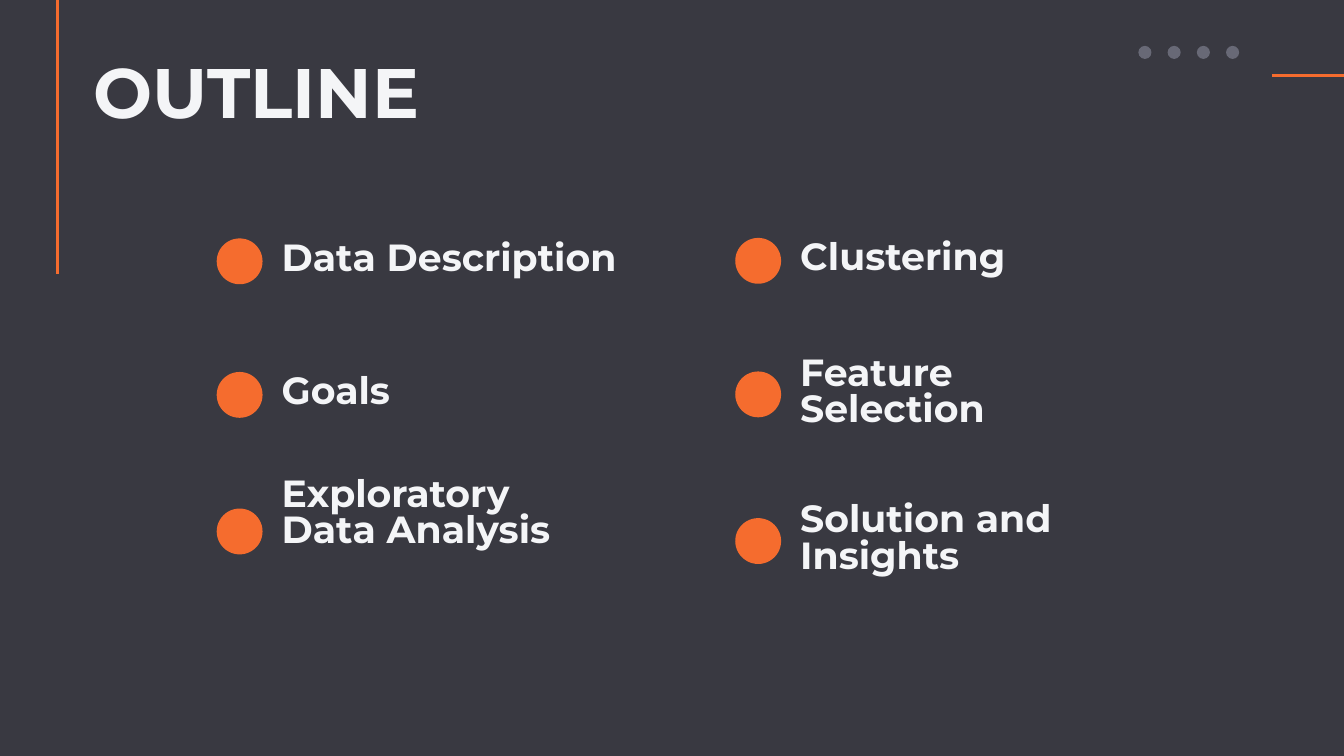
from dataclasses import dataclass

from pptx import Presentation
from pptx.dml.color import RGBColor
from pptx.enum.shapes import MSO_CONNECTOR as Connector, MSO_SHAPE as Shape
from pptx.enum.text import MSO_ANCHOR as Anchor
from pptx.oxml.ns import qn
from pptx.util import Inches, Pt
from lxml.etree import SubElement


@dataclass(frozen=True)
class Theme:
    background: str = "393941"
    accent: str = "F56C2E"
    text: str = "F4F5F7"
    muted: str = "686976"
    font: str = "Montserrat"
    title_size: int = 100
    topic_size: int = 54
    rule_width: int = 4


TITLE = "OUTLINE"
TOPIC_COLUMNS = [
    [
        {"text": "Data Description", "width": 8.15},
        {"text": "Goals", "width": 8.15},
        {"text": "Exploratory Data Analysis", "width": 5.96, "drop": 0.06, "lift": 0.31},
    ],
    [
        {"text": "Clustering", "width": 5.56},
        {"text": "Feature Selection", "width": 5.56},
        {"text": "Solution and Insights", "width": 6.64, "drop": 0.26},
    ],
]

THEME = Theme()
WIDTH, HEIGHT = 26.67, 15
GRID_LEFT, GRID_TOP = 4.3, 4.73
COLUMN_STEP, ROW_STEP = 10.29, 2.65
COLUMN_RISE = 0.01
DOT = 0.91
LABEL_OFFSET, LABEL_DROP, LABEL_HEIGHT = 1.25, 0.02, 0.83
INSET = 0.04
RULES = [
    (WIDTH - 1.43, HEIGHT * 0.1, WIDTH, HEIGHT * 0.1),
    (1.14, 0, 1.14, 5.44),
]
BADGE_COUNT, BADGE_SIZE = 4, 0.26
BADGE_LEFT, BADGE_TOP, BADGE_STEP = 22.59, 0.91, 0.58


def color(value):
    return RGBColor.from_string(value)


def add_filled(slide, kind, left, top, size, fill):
    shape = slide.shapes.add_shape(
        kind, Inches(left), Inches(top), Inches(size), Inches(size)
    )
    shape.shadow.inherit = False
    shape.fill.solid()
    shape.fill.fore_color.rgb = color(fill)
    shape.line.fill.background()


def add_rule(slide, ends):
    rule = slide.shapes.add_connector(Connector.STRAIGHT, *map(Inches, ends))
    rule.line.color.rgb = color(THEME.accent)
    rule.line.width = Pt(THEME.rule_width)
    SubElement(rule.element.spPr, qn("a:effectLst"))


def add_text(slide, text, box, size, anchor):
    frame = slide.shapes.add_textbox(*map(Inches, box)).text_frame
    frame.word_wrap = True
    frame.vertical_anchor = anchor
    frame.margin_left = frame.margin_right = Inches(INSET)
    frame.margin_top = frame.margin_bottom = Inches(INSET)
    paragraph = frame.paragraphs[0]
    paragraph.line_spacing = 0.8
    run = paragraph.add_run()
    run.text = text
    run.font.name = THEME.font
    run.font.size = Pt(size)
    run.font.bold = True
    run.font.color.rgb = color(THEME.text)


def add_topic(slide, topic, left, top):
    add_filled(slide, Shape.OVAL, left, top, DOT, THEME.accent)
    label_top = top + LABEL_DROP - topic.get("lift", 0)
    box = (left + LABEL_OFFSET, label_top, topic["width"], LABEL_HEIGHT)
    add_text(slide, topic["text"], box, THEME.topic_size, Anchor.MIDDLE)


def main():
    presentation = Presentation()
    presentation.slide_width = Inches(WIDTH)
    presentation.slide_height = Inches(HEIGHT)
    slide = presentation.slides.add_slide(presentation.slide_layouts[6])
    slide.background.fill.solid()
    slide.background.fill.fore_color.rgb = color(THEME.background)

    for index in range(BADGE_COUNT):
        left = BADGE_LEFT + index * BADGE_STEP
        add_filled(slide, Shape.OVAL, left, BADGE_TOP, BADGE_SIZE, THEME.muted)
    for ends in RULES:
        add_rule(slide, ends)

    add_text(slide, TITLE, (1.82, 1.25, 9.95, 3.47), THEME.title_size, Anchor.TOP)
    for column, topics in enumerate(TOPIC_COLUMNS):
        left = GRID_LEFT + column * COLUMN_STEP
        for row, topic in enumerate(topics):
            top = GRID_TOP + row * ROW_STEP - column * COLUMN_RISE
            add_topic(slide, topic, left, top + topic.get("drop", 0))

    presentation.save("out.pptx")


if __name__ == "__main__":
    main()
